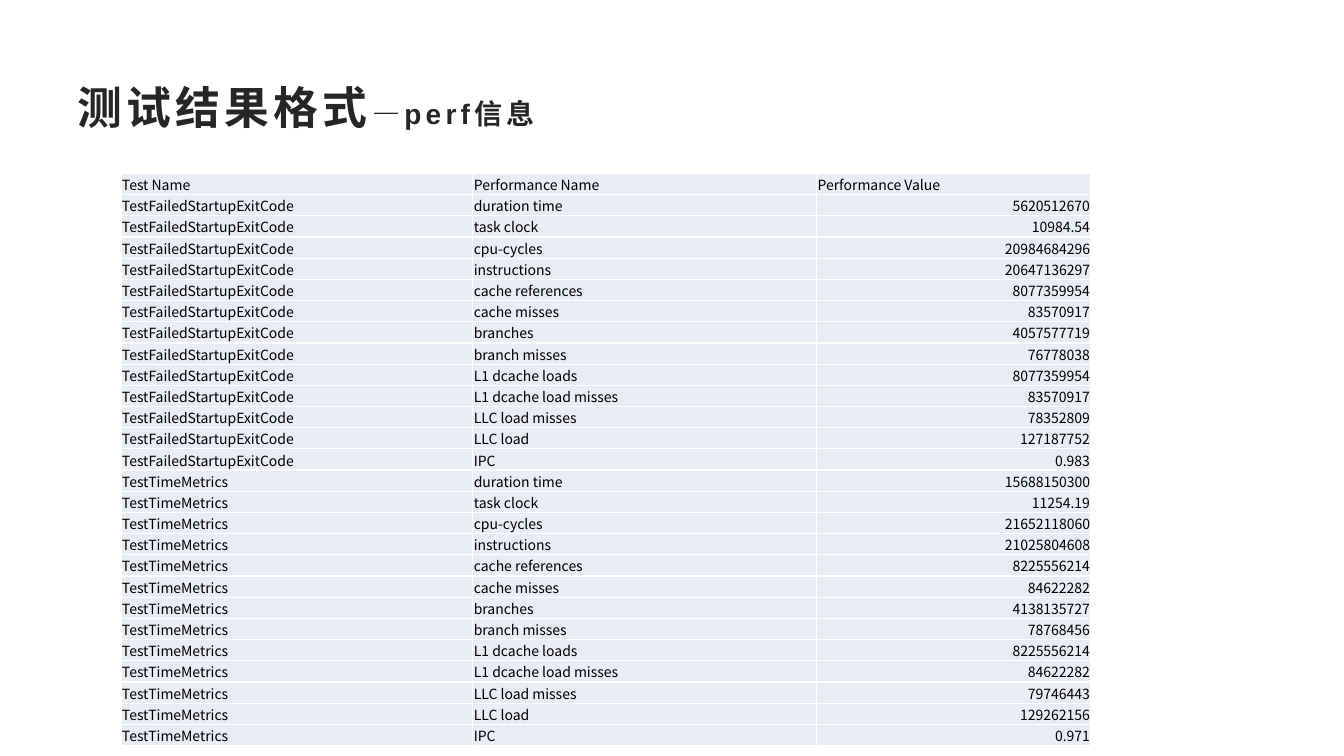
from lxml import etree
from pptx import Presentation
from pptx.dml.color import RGBColor
from pptx.enum.text import MSO_ANCHOR, MSO_AUTO_SIZE, PP_ALIGN
from pptx.oxml.ns import qn
from pptx.util import Inches, Pt

MIDDLE = MSO_ANCHOR.MIDDLE
NO_AUTOFIT = MSO_AUTO_SIZE.NONE
LEFT, RIGHT = PP_ALIGN.LEFT, PP_ALIGN.RIGHT

TITLE_COLOR = RGBColor(0x26, 0x26, 0x26)
BLACK = RGBColor(0x00, 0x00, 0x00)
CELL_FILL = RGBColor(0xE9, 0xEB, 0xF5)
BORDER_COLOR = RGBColor(0xFF, 0xFF, 0xFF)
TITLE_FONT = "Arial"
CJK_FONT = "Noto Sans CJK SC"

TITLE_SPANS = [("测试结果格式", 32), ("—perf信息", 20)]
TITLE_SPACING = 3  # points between letters

HEADERS = ("Test Name", "Performance Name", "Performance Value")
METRICS = (
    "duration time", "task clock", "cpu-cycles", "instructions",
    "cache references", "cache misses", "branches", "branch misses",
    "L1 dcache loads", "L1 dcache load misses", "LLC load misses",
    "LLC load", "IPC",
)
RESULTS = {
    "TestFailedStartupExitCode": (
        "5620512670", "10984.54", "20984684296", "20647136297",
        "8077359954", "83570917", "4057577719", "76778038",
        "8077359954", "83570917", "78352809", "127187752", "0.983",
    ),
    "TestTimeMetrics": (
        "15688150300", "11254.19", "21652118060", "21025804608",
        "8225556214", "84622282", "4138135727", "78768456",
        "8225556214", "84622282", "79746443", "129262156", "0.971",
    ),
}
COLUMN_WIDTHS = (3.49, 3.41, 2.72)
ROW_HEIGHT = 0.18


def set_east_asian_font(properties, name):
    etree.SubElement(properties, qn("a:ea")).set("typeface", name)


def add_title(page, left, top, width, height):
    title = page.shapes.title
    title.left, title.top = Inches(left), Inches(top)
    title.width, title.height = Inches(width), Inches(height)
    frame = title.text_frame
    frame.word_wrap = True
    frame.auto_size = NO_AUTOFIT
    frame.vertical_anchor = MIDDLE
    para = frame.paragraphs[0]
    para.alignment = LEFT
    for text, size in TITLE_SPANS:
        span = para.add_run()
        span.text = text
        span.font.size = Pt(size)
        span.font.bold = True
        span.font.name = TITLE_FONT
        span.font.color.rgb = TITLE_COLOR
        properties = span.font._element
        properties.set("spc", str(TITLE_SPACING * 100))
        set_east_asian_font(properties, CJK_FONT)


def add_borders(cell):
    properties = cell._tc.get_or_add_tcPr()
    for side in ("a:lnL", "a:lnR", "a:lnT", "a:lnB"):
        line = etree.SubElement(properties, qn(side), w=str(Pt(1)))
        fill = etree.SubElement(line, qn("a:solidFill"))
        etree.SubElement(fill, qn("a:srgbClr"), val=str(BORDER_COLOR))


def format_cell(cell, text, alignment):
    add_borders(cell)
    cell.fill.solid()
    cell.fill.fore_color.rgb = CELL_FILL
    cell.vertical_anchor = MIDDLE
    cell.margin_left = cell.margin_right = cell.margin_top = Inches(0.01)
    cell.margin_bottom = 0
    cell.text = text
    para = cell.text_frame.paragraphs[0]
    para.alignment = alignment
    para.font.size = Pt(10)
    para.font.name = CJK_FONT
    para.font.color.rgb = BLACK


def add_results_table(page, left, top):
    rows = [HEADERS] + [
        (test, metric, value)
        for test, values in RESULTS.items()
        for metric, value in zip(METRICS, values)
    ]
    table = page.shapes.add_table(
        len(rows), len(HEADERS), Inches(left), Inches(top),
        Inches(sum(COLUMN_WIDTHS)), Inches(ROW_HEIGHT * len(rows)),
    ).table
    table.first_row = False
    table.horz_banding = False
    for column, width in zip(table.columns, COLUMN_WIDTHS):
        column.width = Inches(width)
    for row_index, texts in enumerate(rows):
        table.rows[row_index].height = Inches(ROW_HEIGHT)
        for column_index, text in enumerate(texts):
            # Measured values are right-aligned below their header
            is_value = row_index > 0 and column_index == 2
            format_cell(table.cell(row_index, column_index), text,
                        RIGHT if is_value else LEFT)


def main():
    deck = Presentation()
    deck.slide_width, deck.slide_height = Inches(13.33), Inches(7.5)
    page = deck.slides.add_slide(deck.slide_layouts[5])
    # Heading
    add_title(page, 0.67, 0.67, 12, 0.77)
    # Performance counters per test
    add_results_table(page, 1.2, 1.72)
    deck.save("out.pptx")


if __name__ == "__main__":
    main()
